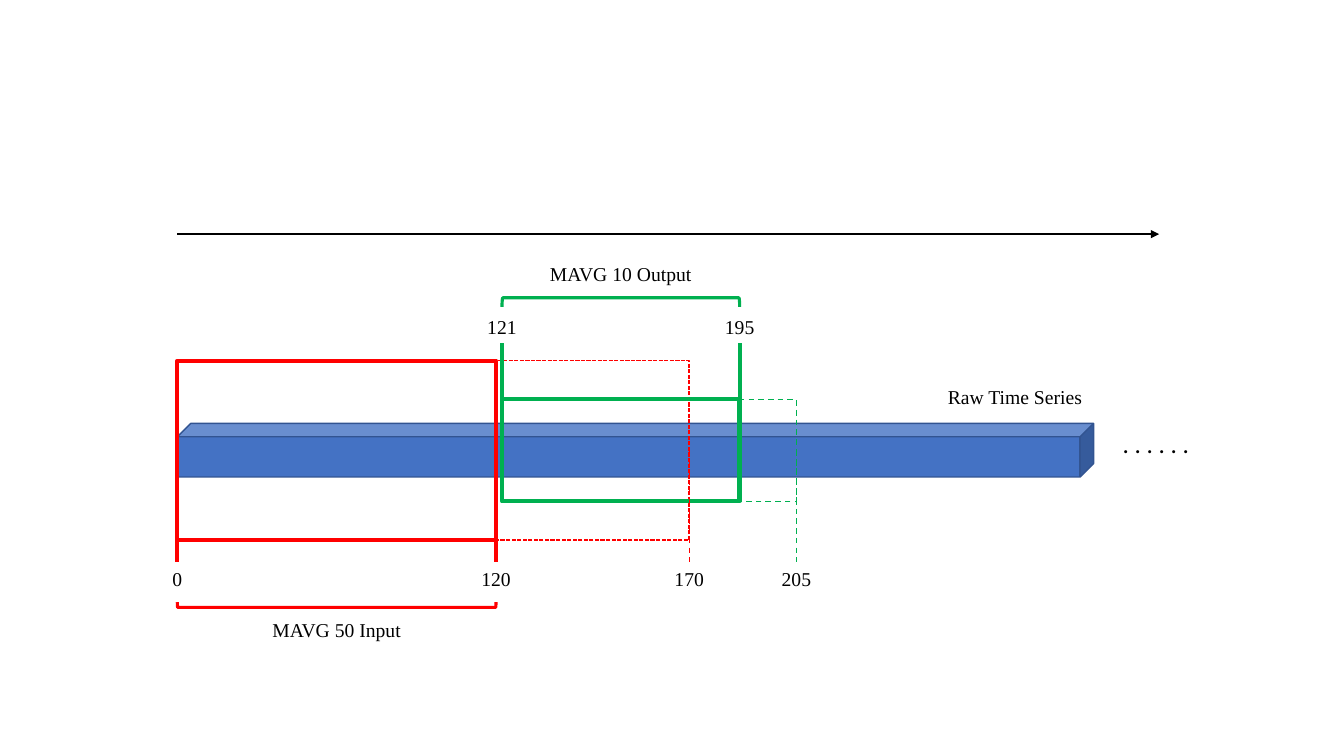
from pptx import Presentation
from pptx.dml.color import RGBColor as Rgb
from pptx.enum.dml import MSO_LINE as Dash
from pptx.enum.shapes import MSO_CONNECTOR as Link, MSO_SHAPE as Kind
from pptx.enum.text import MSO_AUTO_SIZE as Fit, PP_ALIGN as Align
from pptx.oxml.ns import qn
from pptx.util import Cm, Pt
from lxml.etree import SubElement

RED, GREEN, BLUE, NAVY, BLACK = "FF0000", "00B050", "4472C4", "325491", "000000"
SERIF = "Times New Roman"

deck = Presentation()
deck.slide_width, deck.slide_height = Cm(33.87), Cm(19.05)
slide = deck.slides.add_slide(deck.slide_layouts[6])
shapes = slide.shapes


def ink(line, color, width, dash=None):
    line.color.rgb = Rgb.from_string(color)
    line.width = Pt(width)
    if dash:
        line.dash_style = dash


def label(text, mid, top, width, height=0.87, size=14, font=SERIF, align=Align.CENTER):
    """Place a text box centred on the x position mid."""
    box = shapes.add_textbox(Cm(mid - width / 2), Cm(top), Cm(width), Cm(height))
    frame = box.text_frame
    frame.word_wrap = True
    frame.auto_size = Fit.SHAPE_TO_FIT_TEXT
    para = frame.paragraphs[0]
    para.alignment = align
    run = para.add_run()
    run.text = text
    run.font.name, run.font.size = font, Pt(size)
    run.font.color.rgb = Rgb.from_string(BLACK)


# Horizontal place of each time step, and the shared heights
at = {0: 4.47, 120: 12.5, 121: 12.65, 170: 17.37, 195: 18.64, 205: 20.07}
axis, high, low = 11.35, 8.64, 14.17

# Raw series
bar = shapes.add_shape(Kind.CUBE, Cm(at[0]), Cm(10.67), Cm(23.09), Cm(1.35))
bar.shadow.inherit = False
bar.fill.solid()
bar.fill.fore_color.rgb = Rgb.from_string(BLUE)
ink(bar.line, NAVY, 1)

# Windows: first step, last step, height, line
windows = [
    (0, 170, 4.52, RED, 1, Dash.SQUARE_DOT),
    (0, 120, 4.52, RED, 3, None),
    (121, 205, 2.57, GREEN, 1, Dash.DASH),
    (121, 195, 2.57, GREEN, 3, None),
]
for start, end, tall, color, width, dash in windows:
    box = shapes.add_shape(Kind.RECTANGLE, Cm(at[start]), Cm(axis - tall / 2),
                           Cm(at[end] - at[start]), Cm(tall))
    box.shadow.inherit = False
    box.fill.background()
    ink(box.line, color, width, dash)

# Ticks from the axis to the step labels, then the time arrow
lines = [
    (at[121], axis, at[121], high, GREEN, 3, None),
    (at[195], axis, at[195], high, GREEN, 3, None),
    (at[0], axis, at[0], low, RED, 3, None),
    (at[120], axis, at[120], low, RED, 3, None),
    (at[170], axis, at[170], low, RED, 1, Dash.DASH),
    (at[205], axis, at[205], low, GREEN, 1, Dash.DASH),
    (at[0], 5.9, 29.21, 5.9, BLACK, 1.5, None),
]
for x, y, x2, y2, color, width, dash in lines:
    link = shapes.add_connector(Link.STRAIGHT, Cm(x), Cm(y), Cm(x2), Cm(y2))
    SubElement(link._element.spPr, qn("a:effectLst"))
    ink(link.line, color, width, dash)
SubElement(link.line._get_or_add_ln(), qn("a:tailEnd"), type="triangle")

for step, x in at.items():
    label(str(step), x, 7.8 if step in (121, 195) else low, 1.5)

# Brackets with captions: steps, bracket middle, depth, turn, text top
spans = [
    ("MAVG 10 Output", 121, 195, 7.62, 0.23, 90, GREEN, 6.48),
    ("MAVG 50 Input", 0, 120, 15.24, 0.13, 270, RED, 15.44),
]
for text, start, end, y, deep, turn, color, top in spans:
    mid, span = (at[start] + at[end]) / 2, at[end] - at[start]
    brace = shapes.add_shape(Kind.LEFT_BRACKET, Cm(mid - deep / 2), Cm(y - span / 2),
                             Cm(deep), Cm(span))
    brace.rotation = turn
    brace.shadow.inherit = False
    brace.fill.background()
    ink(brace.line, color, 2.25)
    label(text, mid, top, 4.5)

label("Raw Time Series", 25.58, 9.58, 4.5)
label(". . . . . .", 29.22, 10.67, 2.36, 1.02, 18, "Calibri", Align.LEFT)

deck.save("out.pptx")
